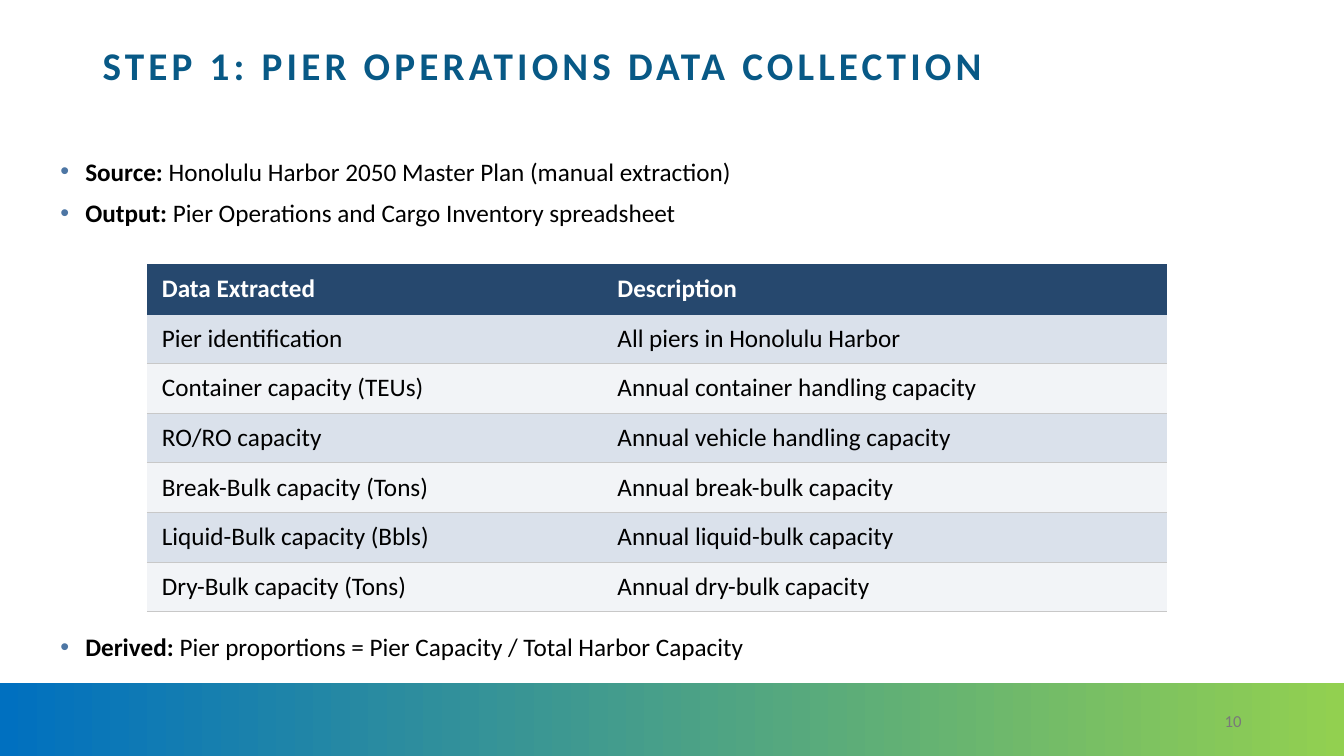
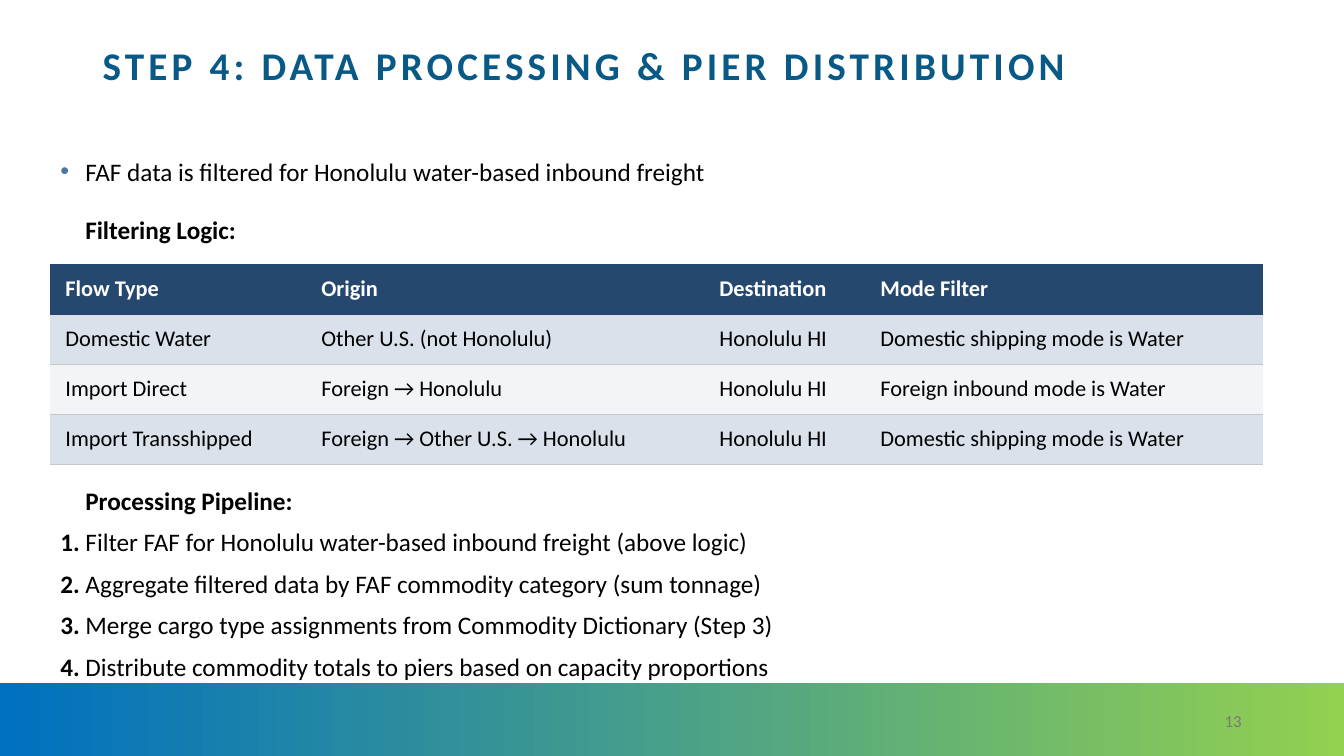
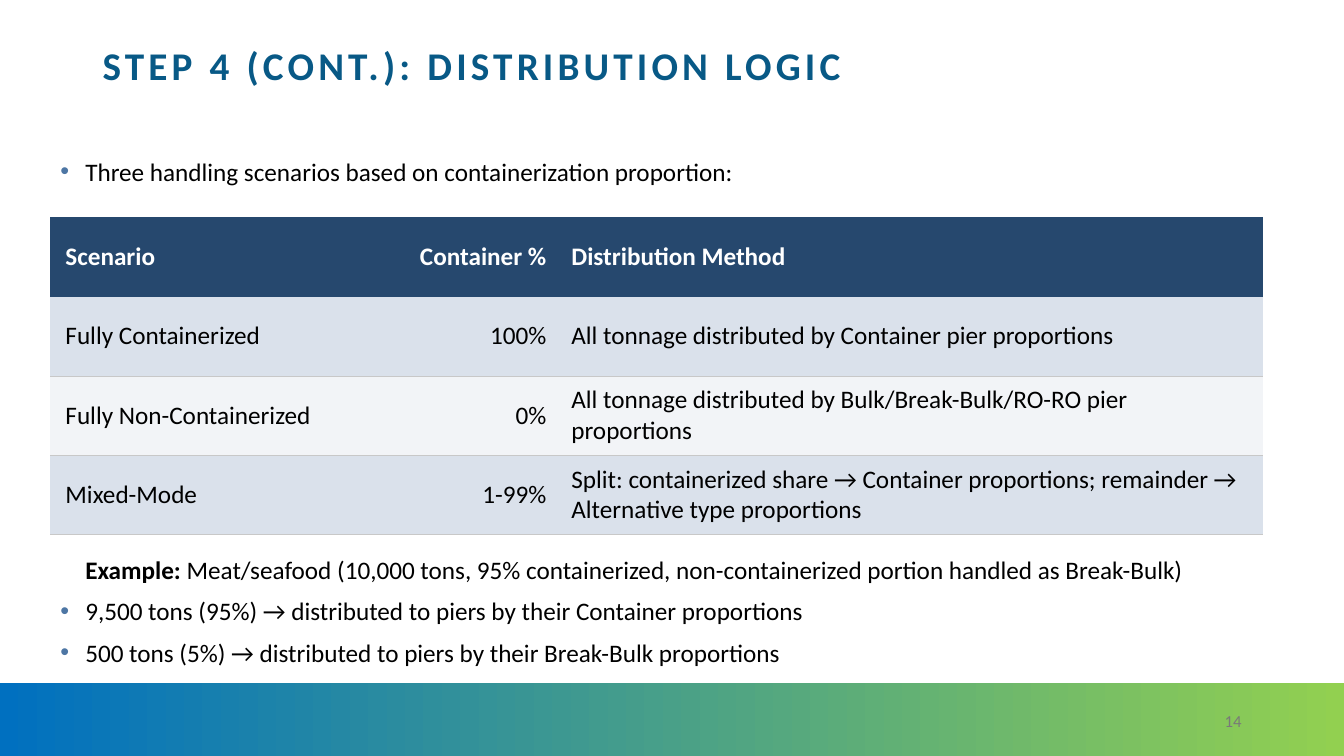
from dataclasses import dataclass

import lxml.etree
import pptx
import pptx.dml.color
import pptx.enum.shapes
import pptx.enum.text
import pptx.oxml.ns
import pptx.util

Cm = pptx.util.Cm
Pt = pptx.util.Pt
RGBColor = pptx.dml.color.RGBColor
qn = pptx.oxml.ns.qn
Align = pptx.enum.text.PP_ALIGN
Anchor = pptx.enum.text.MSO_ANCHOR
AutoSize = pptx.enum.text.MSO_AUTO_SIZE

# Shared look
FONT = "Calibri"
BLACK = RGBColor(0x00, 0x00, 0x00)
WHITE = RGBColor(0xFF, 0xFF, 0xFF)
TITLE_BLUE = RGBColor(0x08, 0x59, 0x86)
BULLET_BLUE = RGBColor(0x4D, 0x76, 0xA4)
HEADER_NAVY = RGBColor(0x26, 0x48, 0x6E)
ROW_BLUE = RGBColor(0xDA, 0xE1, 0xEB)
ROW_PALE = RGBColor(0xF2, 0xF4, 0xF7)
RULE_GREY = RGBColor(0xC8, 0xC8, 0xC8)
NUMBER_GREY = RGBColor(0x79, 0x79, 0x79)
BAND_BLUE = RGBColor(0x00, 0x70, 0xC0)
BAND_GREEN = RGBColor(0x92, 0xD0, 0x50)

PAGE_WIDTH, PAGE_HEIGHT = Cm(33.87), Cm(19.05)
BAND_TOP = Cm(17.2)
BODY_LEFT, BODY_WIDTH = Cm(1.27), Cm(31.32)
BODY_SIZE = 18
BULLET_INDENT, NUMBER_INDENT = Cm(0.63), Cm(0.95)
PLAIN_TABLE_STYLE = "{2D5ABB26-0587-4C30-8999-92F81FD0307C}"


@dataclass
class Line:
    """A paragraph: an optional bold lead, then regular text."""
    lead: str = ""
    text: str = ""
    bullet: bool = False
    indent: int = BULLET_INDENT
    hanging: bool = False
    space_before: int = 0


@dataclass
class TextBlock:
    top: float
    height: float
    lines: list[Line]


@dataclass
class Grid:
    left: float
    top: float
    column_widths: list[float]
    row_height: float
    rows: list[list[str]]
    font_size: int = BODY_SIZE
    right_columns: tuple[int, ...] = ()


@dataclass
class Page:
    number: int
    title: str
    intro: TextBlock
    grid: Grid
    closing: TextBlock


def bullet(text: str, lead: str = "") -> Line:
    return Line(lead, text, bullet=True, hanging=True)


def numbered(items: list[str]) -> list[Line]:
    return [Line(f"{number}. ", item, indent=NUMBER_INDENT, hanging=True)
            for number, item in enumerate(items, 1)]


def set_font(font, size: int, color: RGBColor, bold: bool | None = None) -> None:
    font.name, font.size, font.bold = FONT, Pt(size), bold
    font.color.rgb = color


def add_child(parent, tag: str, **attributes: str):
    return lxml.etree.SubElement(parent, qn(tag), **attributes)


def add_band(slide) -> None:
    band = slide.shapes.add_shape(
        pptx.enum.shapes.MSO_SHAPE.RECTANGLE, 0, BAND_TOP, PAGE_WIDTH, PAGE_HEIGHT - BAND_TOP)
    band.shadow.inherit = False
    band.line.fill.background()
    band.fill.gradient()
    band.fill.gradient_angle = 0
    for stop, color in zip(band.fill.gradient_stops, (BAND_BLUE, BAND_GREEN)):
        stop.color.rgb = color


def add_title(slide, text: str) -> None:
    title = slide.shapes.title
    title.left, title.top, title.width, title.height = Cm(2.33), Cm(1.02), Cm(29.21), Cm(1.37)
    frame = title.text_frame
    frame.auto_size = AutoSize.NONE
    frame.vertical_anchor = Anchor.MIDDLE
    para = frame.paragraphs[0]
    para.alignment, para.line_spacing = Align.LEFT, 0.9
    set_font(para.font, 28, TITLE_BLUE, True)
    span = para.add_run()
    span.text = text
    span._r.get_or_add_rPr().set("spc", "300")  # letter spacing of 3 points


def add_line(para, line: Line) -> None:
    para.space_after = Pt(8)
    if line.space_before:
        para.space_before = Pt(line.space_before)
    properties = para._p.get_or_add_pPr()
    properties.set("marL", str(line.indent))
    properties.set("indent", str(-line.indent if line.hanging else 0))
    if line.bullet:
        add_child(add_child(properties, "a:buClr"), "a:srgbClr", val=str(BULLET_BLUE))
        add_child(properties, "a:buFont", typeface="Arial")
        add_child(properties, "a:buChar", char="•")
    else:
        add_child(properties, "a:buNone")
    set_font(para.font, BODY_SIZE, BLACK)
    for text, bold in ((line.lead, True), (line.text, False)):
        if text:
            span = para.add_run()
            span.text, span.font.bold = text, bold


def add_text(slide, block: TextBlock) -> None:
    box = slide.shapes.add_textbox(BODY_LEFT, Cm(block.top), BODY_WIDTH, Cm(block.height))
    frame = box.text_frame
    frame.word_wrap = True
    frame.auto_size = AutoSize.SHAPE_TO_FIT_TEXT
    for index, line in enumerate(block.lines):
        add_line(frame.add_paragraph() if index else frame.paragraphs[0], line)


def add_border(cell, tag: str, color: RGBColor, width: float) -> None:
    border = add_child(cell._tc.get_or_add_tcPr(), tag, w=str(Pt(width)))
    add_child(add_child(border, "a:solidFill"), "a:srgbClr", val=str(color))


def add_grid(slide, grid: Grid) -> None:
    row_count, column_count = len(grid.rows), len(grid.column_widths)
    table = slide.shapes.add_table(
        row_count, column_count, Cm(grid.left), Cm(grid.top),
        Cm(sum(grid.column_widths)), Cm(grid.row_height * row_count)).table
    table._tbl.tblPr.find(qn("a:tableStyleId")).text = PLAIN_TABLE_STYLE
    table.horz_banding = False
    for column, width in zip(table.columns, grid.column_widths):
        column.width = Cm(width)
    for row in table.rows:
        row.height = Cm(grid.row_height)

    # The rule below each row; the header has none above it
    rules = [(HEADER_NAVY, 1.5)] + [(RULE_GREY, 0.5)] * (row_count - 2) + [(RULE_GREY, 0.75)]
    for row_index, texts in enumerate(grid.rows):
        header = row_index == 0
        fill = HEADER_NAVY if header else (ROW_PALE, ROW_BLUE)[row_index % 2]
        for column_index, text in enumerate(texts):
            cell = table.cell(row_index, column_index)
            cell.margin_left, cell.margin_right = Cm(0.38), Cm(0.25)
            cell.margin_top = cell.margin_bottom = Cm(0.15)
            cell.vertical_anchor = Anchor.MIDDLE
            if not header:
                add_border(cell, "a:lnT", *rules[row_index - 1])
            add_border(cell, "a:lnB", *rules[row_index])
            cell.fill.solid()
            cell.fill.fore_color.rgb = fill
            cell.text = text
            para = cell.text_frame.paragraphs[0]
            para.alignment = Align.RIGHT if column_index in grid.right_columns else Align.LEFT
            set_font(para.font, grid.font_size, WHITE if header else BLACK, header)


def add_page_number(slide, number: int) -> None:
    box = slide.shapes.add_textbox(Cm(23.92), Cm(17.65), Cm(7.62), Cm(1.02))
    frame = box.text_frame
    frame.word_wrap = True
    frame.vertical_anchor = Anchor.MIDDLE
    para = frame.paragraphs[0]
    para.text, para.alignment = str(number), Align.RIGHT
    set_font(para.font, 12, NUMBER_GREY)


PAGES = [
    Page(
        10, "STEP 1: PIER OPERATIONS DATA COLLECTION",
        TextBlock(3.81, 2.46, [
            bullet(" Honolulu Harbor 2050 Master Plan (manual extraction)", "Source:"),
            bullet(" Pier Operations and Cargo Inventory spreadsheet", "Output:"),
        ]),
        Grid(3.7, 6.66, [11.48, 14.22], 1.25, [
            ["Data Extracted", "Description"],
            ["Pier identification", "All piers in Honolulu Harbor"],
            ["Container capacity (TEUs)", "Annual container handling capacity"],
            ["RO/RO capacity", "Annual vehicle handling capacity"],
            ["Break-Bulk capacity (Tons)", "Annual break-bulk capacity"],
            ["Liquid-Bulk capacity (Bbls)", "Annual liquid-bulk capacity"],
            ["Dry-Bulk capacity (Tons)", "Annual dry-bulk capacity"],
        ]),
        TextBlock(15.78, 1.27, [
            bullet(" Pier proportions = Pier Capacity / Total Harbor Capacity", "Derived:"),
        ]),
    ),
    Page(
        13, "STEP 4: DATA PROCESSING & PIER DISTRIBUTION",
        TextBlock(3.81, 2.46, [
            bullet("FAF data is filtered for Honolulu water-based inbound freight"),
            Line("Filtering Logic:", space_before=12),
        ]),
        Grid(1.27, 6.66, [6.45, 10.03, 4.06, 10.03], 1.26, [
            ["Flow Type", "Origin", "Destination", "Mode Filter"],
            ["Domestic Water", "Other U.S. (not Honolulu)", "Honolulu HI",
             "Domestic shipping mode is Water"],
            ["Import Direct", "Foreign → Honolulu", "Honolulu HI",
             "Foreign inbound mode is Water"],
            ["Import Transshipped", "Foreign → Other U.S. → Honolulu", "Honolulu HI",
             "Domestic shipping mode is Water"],
        ], font_size=16),
        TextBlock(12.1, 6.17, [
            Line("Processing Pipeline:"),
            *numbered([
                "Filter FAF for Honolulu water-based inbound freight (above logic)",
                "Aggregate filtered data by FAF commodity category (sum tonnage)",
                "Merge cargo type assignments from Commodity Dictionary (Step 3)",
                "Distribute commodity totals to piers based on capacity proportions",
            ]),
        ]),
    ),
    Page(
        14, "STEP 4 (CONT.): DISTRIBUTION LOGIC",
        TextBlock(3.81, 1.27, [
            bullet("Three handling scenarios based on containerization proportion:"),
        ]),
        Grid(1.27, 5.47, [8.36, 4.39, 17.81], 2, [
            ["Scenario", "Container %", "Distribution Method"],
            ["Fully Containerized", "100%",
             "All tonnage distributed by Container pier proportions"],
            ["Fully Non-Containerized", "0%",
             "All tonnage distributed by Bulk/Break-Bulk/RO-RO pier proportions"],
            ["Mixed-Mode", "1-99%",
             "Split: containerized share → Container proportions; "
             "remainder → Alternative type proportions"],
        ], right_columns=(1,)),
        TextBlock(13.84, 3.71, [
            Line("Example:", " Meat/seafood (10,000 tons, 95% containerized, "
                 "non-containerized portion handled as Break-Bulk)"),
            bullet("9,500 tons (95%) → distributed to piers by their Container proportions"),
            bullet("500 tons (5%) → distributed to piers by their Break-Bulk proportions"),
        ]),
    ),
]


def main() -> None:
    deck = pptx.Presentation()
    deck.slide_width, deck.slide_height = PAGE_WIDTH, PAGE_HEIGHT
    layout = deck.slide_layouts.get_by_name("Title Only")
    for page in PAGES:
        slide = deck.slides.add_slide(layout)
        add_band(slide)
        add_title(slide, page.title)
        add_text(slide, page.intro)
        add_grid(slide, page.grid)
        add_text(slide, page.closing)
        add_page_number(slide, page.number)
    deck.save("out.pptx")


if __name__ == "__main__":
    main()
